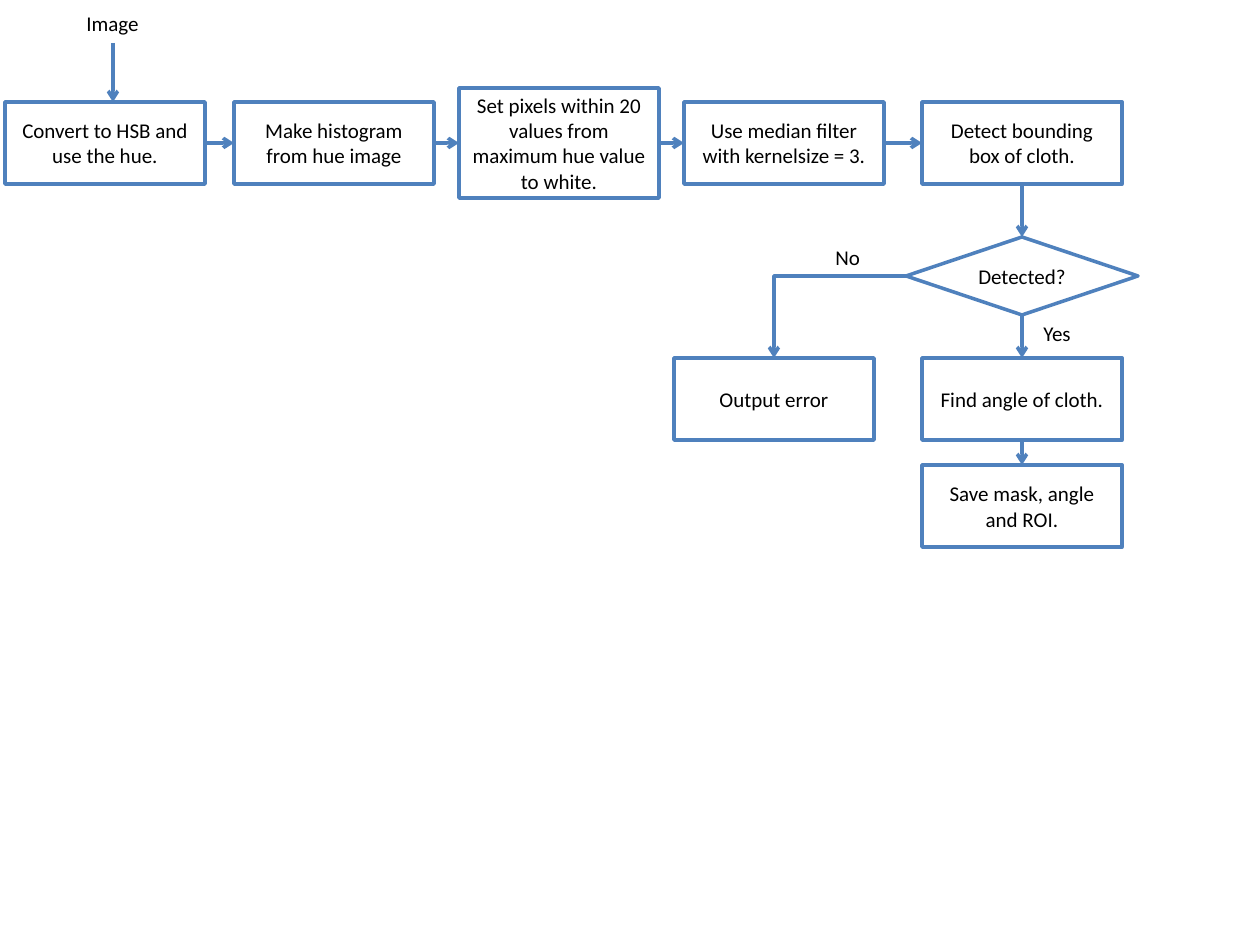
from lxml import etree
from pptx import Presentation
from pptx import util as u
from pptx.dml.color import RGBColor
from pptx.enum import shapes, text
from pptx.oxml import ns

PX_PER_INCH = 126
COLORS = {"line": "4F81BD", "fill": "FFFFFF", "text": "000000"}
STEP_W, STEP_H = 200, 82
TOP, LEFT, BOTTOM, RIGHT = range(4)
PROCESS = shapes.MSO_SHAPE.FLOWCHART_PROCESS
DECISION = shapes.MSO_SHAPE.FLOWCHART_DECISION


def px(length):
    return u.Emu(round(length * 914400 / PX_PER_INCH))


def color(name):
    return RGBColor.from_string(COLORS[name])


def write(frame, wording, align):
    paragraph = frame.paragraphs[0]
    paragraph.alignment = align
    run = paragraph.add_run()
    run.text = wording
    run.font.name = "Calibri"
    run.font.size = u.Pt(12)
    run.font.color.rgb = color("text")


def outline(part):
    part.line.color.rgb = color("line")
    part.line.width = u.Pt(2)


def add_step(slide, wording, left, top, width=STEP_W, height=STEP_H, kind=PROCESS):
    step = slide.shapes.add_shape(kind, px(left), px(top), px(width), px(height))
    step.shadow.inherit = False
    step.fill.solid()
    step.fill.fore_color.rgb = color("fill")
    outline(step)
    step.text_frame.word_wrap = True
    step.text_frame.vertical_anchor = text.MSO_ANCHOR.MIDDLE
    write(step.text_frame, wording, text.PP_ALIGN.CENTER)
    return step


def add_label(slide, wording, left, top, width):
    label = slide.shapes.add_textbox(px(left), px(top), px(width), px(38))
    label.text_frame.word_wrap = False
    write(label.text_frame, wording, text.PP_ALIGN.LEFT)


def add_arrow(slide, start, end, kind=shapes.MSO_CONNECTOR.STRAIGHT):
    arrow = slide.shapes.add_connector(kind, *map(px, start + end))
    outline(arrow)
    etree.SubElement(arrow.line._get_or_add_ln(), ns.qn("a:tailEnd"), type="arrow")
    etree.SubElement(arrow._element.spPr, ns.qn("a:effectLst"))
    return arrow


def join(slide, source, source_side, target, target_side, **options):
    arrow = add_arrow(slide, (0, 0), (0, 0), **options)
    arrow.begin_connect(source, source_side)
    arrow.end_connect(target, target_side)
    return arrow


def add_preparation(slide, left, top):
    add_label(slide, "Image", left + 69, top, 78)
    add_arrow(slide, (left + 108, top + 39), (left + 108, top + 98))
    middle = top + 139
    row = [
        (0, STEP_H, "Convert to HSB and use the hue."),
        (229, STEP_H, "Make histogram from hue image"),
        (454, 110, "Set pixels within 20 values from maximum hue value to white."),
        (679, STEP_H, "Use median filter with kernelsize = 3."),
        (917, STEP_H, "Detect bounding box of cloth."),
    ]
    steps = [
        add_step(slide, wording, left + offset, middle - height // 2, height=height)
        for offset, height, wording in row
    ]
    for source, target in zip(steps, steps[1:]):
        join(slide, source, RIGHT, target, LEFT)
    return steps[-1]


def add_detection(slide, left, top, bounding_box):
    column = left + 248
    detected = add_step(slide, "Detected?", column - 16, top, 232, 78, DECISION)
    error = add_step(slide, "Output error", left, top + 121)
    angle = add_step(slide, "Find angle of cloth.", column, top + 121)
    save = add_step(slide, "Save mask, angle and ROI.", column, top + 228)

    down = [bounding_box, detected, angle, save]
    for source, target in zip(down, down[1:]):
        join(slide, source, BOTTOM, target, TOP)
    rejected = join(slide, detected, LEFT, error, TOP, kind=shapes.MSO_CONNECTOR.ELBOW)
    rejected._element.spPr.prstGeom.set("prst", "bentConnector2")

    add_label(slide, "No", left + 149, top + 1, 50)
    add_label(slide, "Yes", left + 357, top + 77, 53)


def main():
    deck = Presentation()
    deck.slide_width, deck.slide_height = px(1260), px(945)
    slide = deck.slides.add_slide(deck.slide_layouts[6])
    bounding_box = add_preparation(slide, 5, 4)
    add_detection(slide, 674, 237, bounding_box)
    deck.save("out.pptx")


if __name__ == "__main__":
    main()
